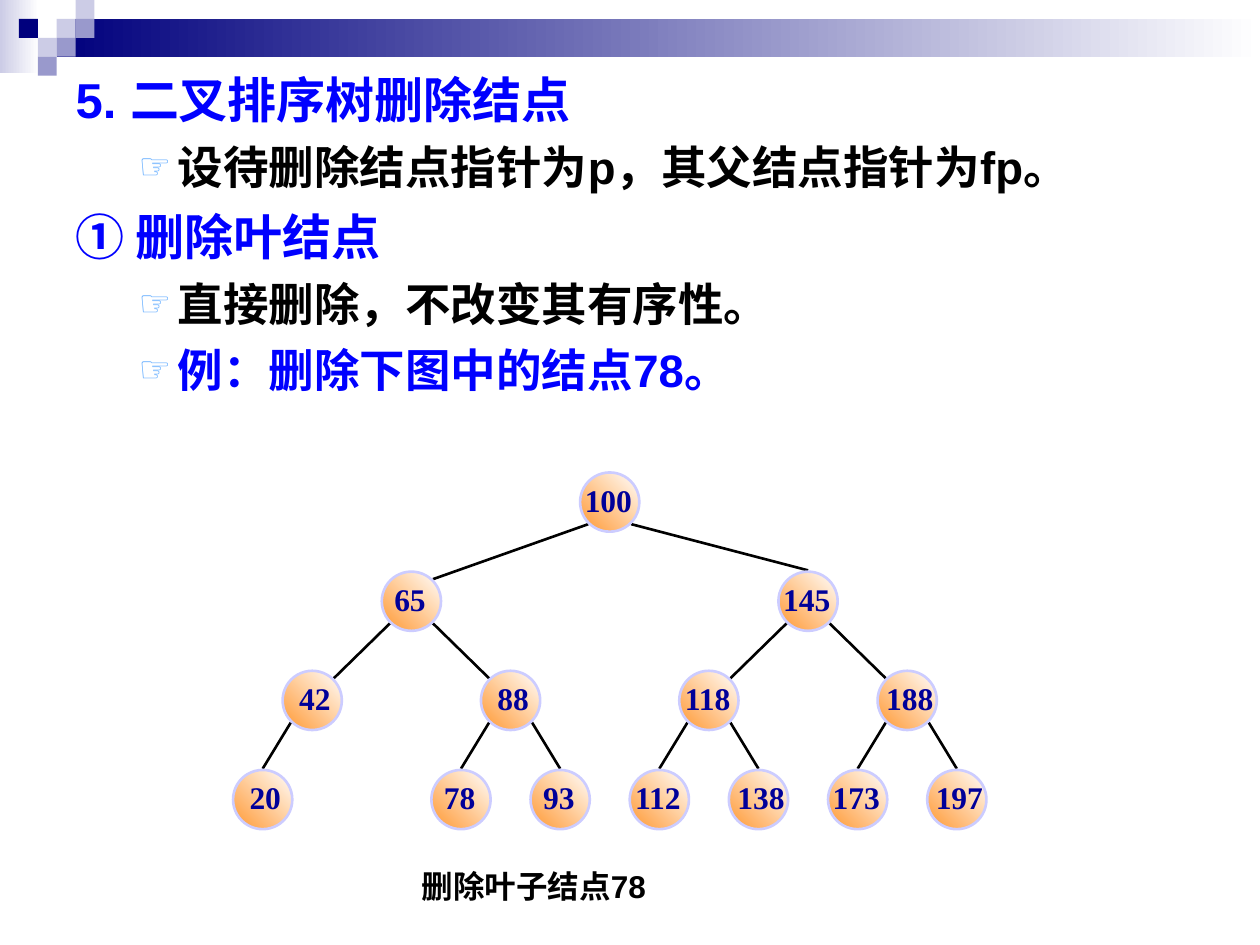
from dataclasses import dataclass

from lxml import etree
from pptx import Presentation
from pptx.dml.color import RGBColor
from pptx.enum import shapes, text
from pptx.oxml import ns
from pptx.util import Inches, Pt


@dataclass(frozen=True)
class Theme:
    sans: str = "Arial"
    serif: str = "Times New Roman"
    black: str = "000000"
    white: str = "FFFFFF"
    blue: str = "0000FF"
    bullet: str = "67AFFF"
    navy: str = "00007D"
    violet: str = "9999CC"
    pale: str = "CCCCE6"
    node_fill: str = "FF9933"
    node_line: str = "CCCCFF"
    node_text: str = "000099"
    head_size: int = 28
    item_size: int = 26
    small_size: int = 18


T = Theme()
BODY = [
    (0, "5. 二叉排序树删除结点", T.blue),
    (1, "设待删除结点指针为p，其父结点指针为fp。", T.black),
    (0, "① 删除叶结点", T.blue),
    (1, "直接删除，不改变其有序性。", T.black),
    (1, "例：删除下图中的结点78。", T.blue),
]
# Level order: the children of node i are 2i + 1 and 2i + 2.
TREE = ["100 ", "65 ", "145 ", "42", "88", "118 ", "188",
        "20", None, "78 ", "93 ", "112 ", "138", "173 ", "197"]
NODE = 0.47
STEP = 0.787
FIRST_X, FIRST_Y = 2.085, 3.75
SQUARE = 0.15


def rgb(value):
    return RGBColor.from_string(value)


def put_text(p, content, size, color=T.black, font=T.sans, align=None, before=0):
    p.alignment = align
    p.space_before = Pt(before)
    r = p.add_run()
    r.text = content
    f = r.font
    f.name, f.size, f.bold = font, Pt(size), True
    f.color.rgb = rgb(color)


def set_bullet(p, level):
    pPr = p._p.get_or_add_pPr()
    left, hang = (0.81, 0.31) if level else (0.38, 0.38)
    pPr.set("marL", str(Inches(left)))
    pPr.set("indent", str(-Inches(hang)))
    if not level:
        etree.SubElement(pPr, ns.qn("a:buNone"))
        return
    color = etree.SubElement(pPr, ns.qn("a:buClr"))
    etree.SubElement(color, ns.qn("a:srgbClr"), val=T.bullet)
    etree.SubElement(pPr, ns.qn("a:buSzPct"), val="80000")
    etree.SubElement(pPr, ns.qn("a:buChar"), char="☞")


def add_filled(s, kind, x, y, w, h, color, fade=None, line=None):
    """Add a shape in one colour, or fading to white at the angle fade."""
    sp = s.shapes.add_shape(kind, Inches(x), Inches(y), Inches(w), Inches(h))
    sp.shadow.inherit = False
    if fade is None:
        sp.fill.solid()
        sp.fill.fore_color.rgb = rgb(color)
    else:
        sp.fill.gradient()
        sp.fill.gradient_angle = fade
        for stop, value in zip(sp.fill.gradient_stops, (color, T.white)):
            stop.color.rgb = rgb(value)
    if line:
        sp.line.color.rgb = rgb(line)
        sp.line.width = Pt(1.5)
    else:
        sp.line.fill.background()
    return sp


def add_banner(s):
    rect = shapes.MSO_SHAPE.RECTANGLE
    add_filled(s, rect, 0, 0, 0.31, 0.58, T.pale, fade=0)
    add_filled(s, rect, 0.45, 0.15, 9.55, 0.3, T.navy, fade=0)
    squares = [(3, 1, T.pale), (4, 0, T.pale), (4, 1, T.violet), (2, 2, T.pale),
               (1, 1, T.navy), (3, 2, T.violet), (2, 3, T.violet)]
    for col, row, color in squares:
        add_filled(s, rect, col * SQUARE, row * SQUARE, SQUARE, SQUARE, color)


def add_body(s, body):
    s.shapes.element.append(body._element)  # in front of the banner
    body.left, body.top = Inches(0.5), Inches(0.5)
    body.width, body.height = Inches(9), Inches(7)
    tf = body.text_frame
    tf.auto_size = text.MSO_AUTO_SIZE.NONE
    for i, (level, content, color) in enumerate(BODY):
        p = tf.add_paragraph() if i else tf.paragraphs[0]
        p.level = level
        set_bullet(p, level)
        size = T.item_size if level else T.head_size
        put_text(p, content, size, color, before=size / 4 if i else 0)


def node_spot(i):
    """Return the centre x, top y and level of node i."""
    level = (i + 1).bit_length() - 1
    span = 2 ** (3 - level)
    place = i + 1 - 2 ** level
    x = FIRST_X + STEP * (place * span + (span - 1) / 2)
    return x, FIRST_Y + STEP * level, level


def add_edge(s, child):
    px, py, _ = node_spot((child - 1) // 2)
    x, y, level = node_spot(child)
    side = 0.17 if x > px else -0.17
    from_top = level == 3 or child == 2
    end_x, end_y = (x, y - 0.01) if from_top else (x - side, y + 0.06)
    line = s.shapes.add_connector(shapes.MSO_CONNECTOR.STRAIGHT, Inches(px + side),
                                  Inches(py + 0.41), Inches(end_x), Inches(end_y))
    line.line.color.rgb = rgb(T.black)
    line.line.width = Pt(1.5)
    etree.SubElement(line._element.spPr, ns.qn("a:effectLst"))


def add_node(s, i, label):
    x, y, _ = node_spot(i)
    sp = add_filled(s, shapes.MSO_SHAPE.OVAL, x - NODE / 2, y, NODE, NODE,
                    T.node_fill, fade=45, line=T.node_line)
    tf = sp.text_frame
    tf.word_wrap = False
    tf.vertical_anchor = text.MSO_ANCHOR.MIDDLE
    tf.margin_left, tf.margin_top = Inches(0.14), Inches(0.01)
    tf.margin_right, tf.margin_bottom = Inches(0.1), Inches(0.05)
    put_text(tf.paragraphs[0], label, T.small_size, T.node_text, T.serif,
             text.PP_ALIGN.CENTER)


def add_tree(s):
    nodes = [(i, label) for i, label in enumerate(TREE) if label]
    for i, _ in nodes[1:]:
        add_edge(s, i)
    for i, label in nodes:
        add_node(s, i, label)


def add_caption(s):
    box = s.shapes.add_textbox(Inches(3.25), Inches(6.83), Inches(2), Inches(0.7))
    tf = box.text_frame
    tf.word_wrap = True
    put_text(tf.paragraphs[0], "删除叶子结点78", T.small_size)


def main():
    prs = Presentation()
    prs.slide_width, prs.slide_height = Inches(10), Inches(7.5)
    s = prs.slides.add_slide(prs.slide_layouts[1])
    title, body = s.placeholders
    s.shapes.element.remove(title._element)
    add_banner(s)
    add_body(s, body)
    add_tree(s)
    add_caption(s)
    prs.save("out.pptx")


if __name__ == "__main__":
    main()
